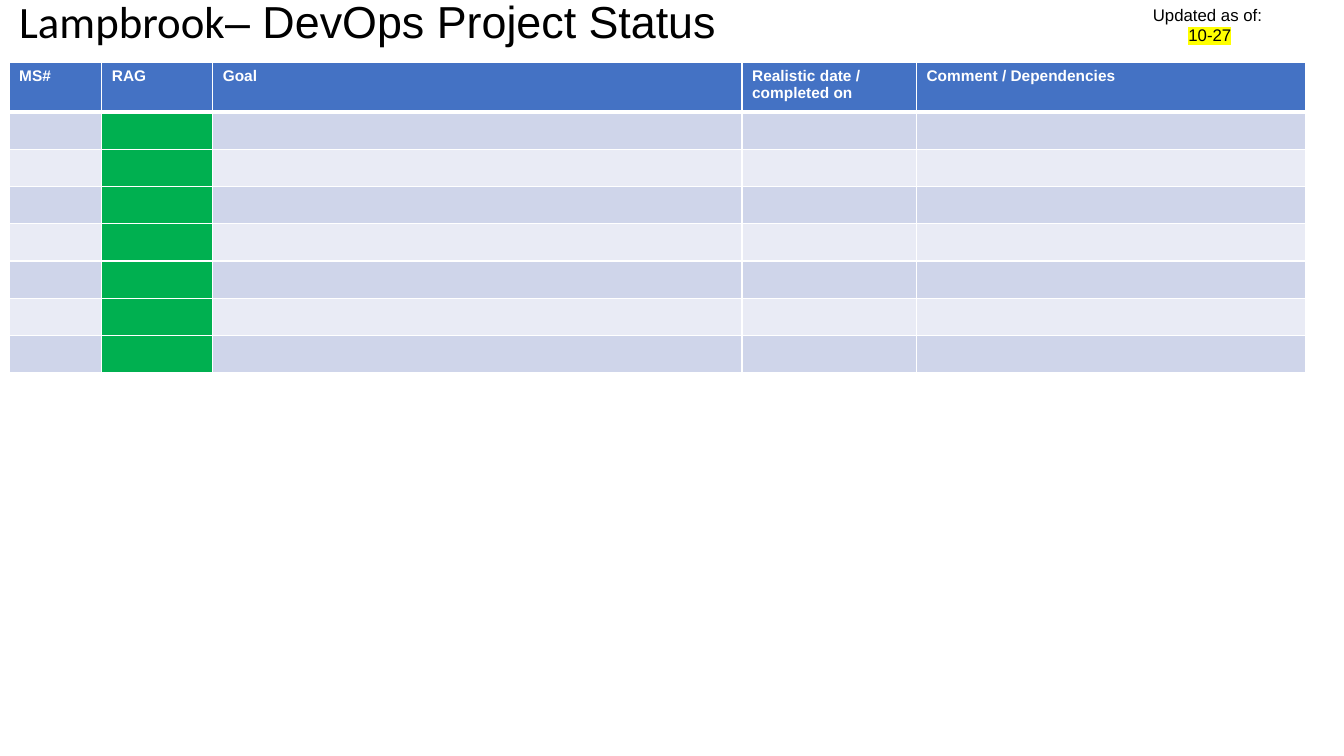
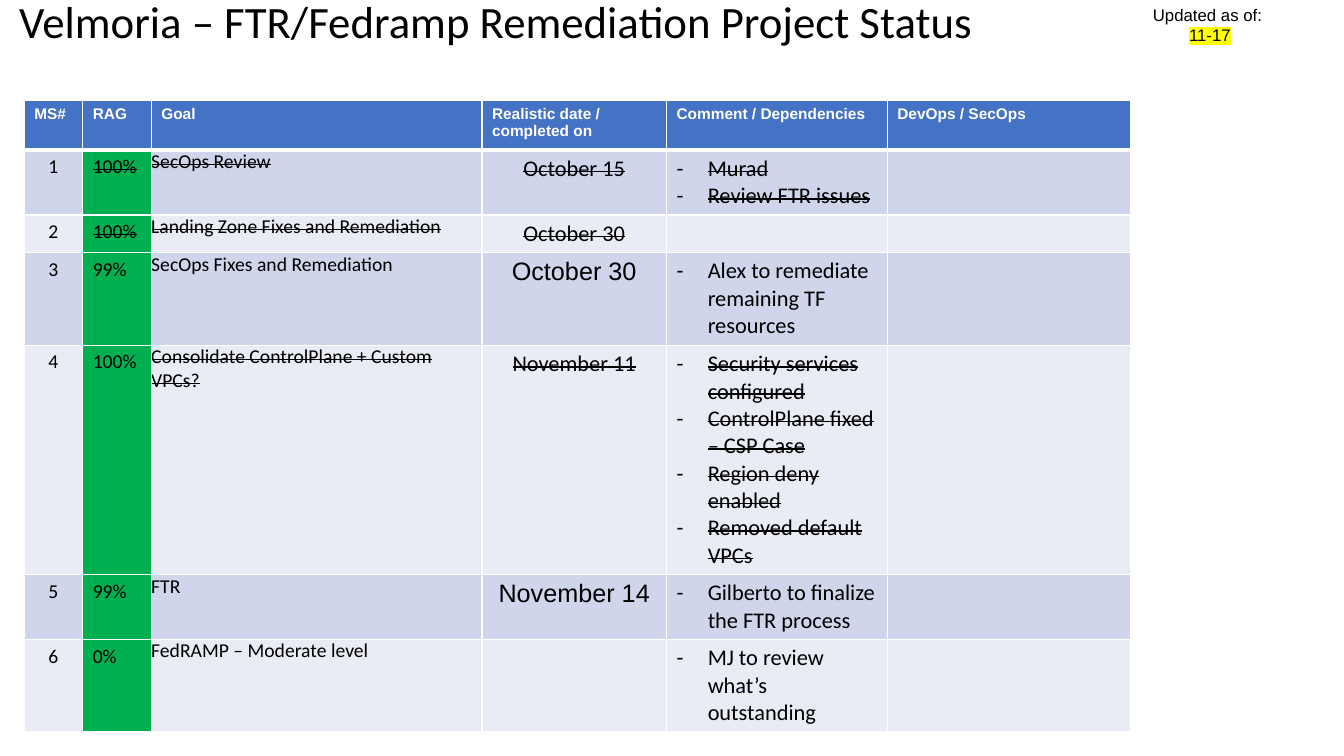
from dataclasses import dataclass, field
from typing import Any

from lxml import etree
from pptx import Presentation
from pptx.dml.color import RGBColor
from pptx.enum.text import MSO_ANCHOR, MSO_AUTO_SIZE, PP_ALIGN
from pptx.oxml.ns import qn
from pptx.util import Inches, Pt

LEFT, CENTER = PP_ALIGN.LEFT, PP_ALIGN.CENTER
BOTTOM = MSO_ANCHOR.BOTTOM
NO_FIT, GROW = MSO_AUTO_SIZE.NONE, MSO_AUTO_SIZE.SHAPE_TO_FIT_TEXT

BLACK, WHITE, YELLOW = "000000", "FFFFFF", "FFFF00"
HEADER_BLUE, GREEN = "4472C4", "00B050"
BANDS = ("CFD5EA", "E9EBF5")
CALIBRI, ARIAL = "Calibri", "Arial"
TITLE_ONLY = 5
RAG_COLUMN, GOAL_COLUMN = 1, 2
HEADER_HEIGHT, EMPTY_ROW_HEIGHT = 0.49, 0.37
BULLET_INDENT = 0.31
HEADINGS = ("MS#", "RAG", "Goal", "Realistic date / completed on", "Comment / Dependencies")


@dataclass(frozen=True)
class Milestone:
    rag: str = ""
    goal: str = ""
    date: str = ""
    comments: tuple[str, ...] = ()
    height: float = EMPTY_ROW_HEIGHT
    done: bool = False
    rag_struck: bool = False
    date_format: dict[str, Any] = field(default_factory=lambda: {"size": 16})


@dataclass(frozen=True)
class StatusSlide:
    title: tuple[tuple[str, str], ...]
    updated: str
    left: float
    top: float
    column_widths: tuple[float, ...]
    headings: tuple[str, ...]
    milestones: tuple[Milestone, ...]


OPEN_DATE = {"size": 18, "font": ARIAL, "strike": False}

STATUS_SLIDES = (
    StatusSlide(
        title=(("Lampbrook", CALIBRI), ("– DevOps Project Status", ARIAL)),
        updated="10-27",
        left=0.09,
        top=0.62,
        column_widths=(0.92, 1.1, 5.25, 1.73, 3.86),
        headings=HEADINGS,
        milestones=(Milestone(),) * 7,
    ),
    StatusSlide(
        title=(("Velmoria – FTR/Fedramp Remediation Project Status", CALIBRI),),
        updated="11-17",
        left=0.24,
        top=1,
        column_widths=(0.58, 0.68, 3.28, 1.83, 2.19, 2.41),
        headings=HEADINGS + ("DevOps / SecOps",),
        milestones=(
            Milestone("100%", "SecOps Review", "October 15", ("Murad", "Review FTR issues"),
                      0.64, done=True, rag_struck=True),
            Milestone("100%", "Landing Zone Fixes and Remediation", "October 30",
                      done=True, rag_struck=True),
            Milestone("99%", "SecOps Fixes and Remediation", "October 30",
                      ("Alex to remediate remaining TF resources",), 0.92,
                      date_format=OPEN_DATE),
            Milestone("100%", "Consolidate ControlPlane + Custom VPCs?", "November 11",
                      ("Security services configured", "ControlPlane fixed – CSP Case",
                       "Region deny enabled", "Removed default VPCs"), 2.27, done=True),
            Milestone("99%", "FTR", "November 14", ("Gilberto to finalize the FTR process",),
                      0.64, date_format=OPEN_DATE),
            Milestone("0%", "FedRAMP – Moderate level", "",
                      ("MJ to review what’s outstanding",), 0.92),
        ),
    ),
)


def color(value: str) -> RGBColor:
    return RGBColor.from_string(value)


def add_child(parent, tag: str, **attributes):
    return etree.SubElement(parent, qn(tag), attributes)


def add_solid_fill(parent, value: str) -> None:
    add_child(add_child(parent, "a:solidFill"), "a:srgbClr", val=value)


def add_text(paragraph, text: str, *, size: float = 14, font: str = CALIBRI,
             fill: str = BLACK, bold: bool = False, strike: bool = False,
             highlight: str = "", align=LEFT, bullet: str = "") -> None:
    """Append one formatted run and set the format of its paragraph."""
    paragraph.alignment = align
    if bullet:
        properties = paragraph._p.get_or_add_pPr()
        properties.set("marL", str(Inches(BULLET_INDENT)))
        properties.set("indent", str(-Inches(BULLET_INDENT)))
        add_child(add_child(properties, "a:buClr"), "a:srgbClr", val=BLACK)
        add_child(properties, "a:buFont", typeface=CALIBRI)
        add_child(properties, "a:buChar", char=bullet)
    run = paragraph.add_run()
    run.text = text
    run.font.size = Pt(size)
    run.font.bold = bold
    run.font.color.rgb = color(fill)
    run_properties = run._r.get_or_add_rPr()
    if strike:
        run_properties.set("strike", "sngStrike")
    if highlight:
        add_child(add_child(run_properties, "a:highlight"), "a:srgbClr", val=highlight)
    run.font.name = font


def add_paragraphs(text_frame, texts: tuple[str, ...], **text_format: Any) -> None:
    for index, text in enumerate(texts):
        paragraph = text_frame.add_paragraph() if index else text_frame.paragraphs[0]
        add_text(paragraph, text, **text_format)


def style_cell(cell, fill: str, bottom_width: float = 1, top_width: float = 1) -> None:
    """Give a cell white borders and a solid fill."""
    properties = cell._tc.get_or_add_tcPr()
    widths = {"a:lnL": 1, "a:lnR": 1, "a:lnT": top_width, "a:lnB": bottom_width}
    for tag, width in widths.items():
        add_solid_fill(add_child(properties, tag, w=str(Pt(width))), WHITE)
    cell.fill.solid()
    cell.fill.fore_color.rgb = color(fill)


def write_cell(cell, texts: tuple[str, ...], **text_format: Any) -> None:
    """Fill a cell with text, or keep an empty one low enough for its row."""
    if any(texts):
        add_paragraphs(cell.text_frame, texts, **text_format)
    else:
        add_child(cell.text_frame.paragraphs[0]._p, "a:endParaRPr", sz="1400")


def write_milestone(cells: list, number: int, milestone: Milestone) -> None:
    for column, cell in enumerate(cells):
        band = BANDS[(number - 1) % len(BANDS)]
        style_cell(cell, GREEN if column == RAG_COLUMN else band,
                   top_width=3 if number == 1 else 1)
    if milestone.goal:
        goal = cells[GOAL_COLUMN]
        goal.margin_left = goal.margin_right = goal.margin_top = goal.margin_bottom = 0
    done = milestone.done
    date_format = {"strike": done, "align": CENTER, **milestone.date_format}
    contents = (
        ((str(number) if milestone.goal else "",), {"align": CENTER}),
        ((milestone.rag,), {"strike": milestone.rag_struck}),
        ((milestone.goal,), {"strike": done}),
        ((milestone.date,), date_format),
        (milestone.comments, {"size": 16, "strike": done, "bullet": "-"}),
        ((), {}),
    )
    for cell, (texts, text_format) in zip(cells, contents):
        write_cell(cell, texts, **text_format)


def add_status_table(slide, status: StatusSlide) -> None:
    heights = [HEADER_HEIGHT] + [milestone.height for milestone in status.milestones]
    table = slide.shapes.add_table(
        len(heights), len(status.headings), Inches(status.left), Inches(status.top),
        Inches(sum(status.column_widths)), Inches(sum(heights))).table
    for column, width in zip(table.columns, status.column_widths):
        column.width = Inches(width)
    for row, height in zip(table.rows, heights):
        row.height = Inches(height)
    header, *body = table.rows
    for cell, heading in zip(header.cells, status.headings):
        style_cell(cell, HEADER_BLUE, bottom_width=3)
        write_cell(cell, (heading,), size=11, font=ARIAL, fill=WHITE, bold=True)
    for number, (row, milestone) in enumerate(zip(body, status.milestones), start=1):
        write_milestone(list(row.cells), number, milestone)


def format_title(title, parts: tuple[tuple[str, str], ...]) -> None:
    title.left, title.top = Inches(0.09), Inches(-0.21)
    title.width, title.height = Inches(12.41), Inches(0.74)
    frame = title.text_frame
    frame.word_wrap = True
    frame.auto_size = NO_FIT
    frame.vertical_anchor = BOTTOM
    paragraph = frame.paragraphs[0]
    paragraph.line_spacing = 0.9
    for text, font in parts:
        add_text(paragraph, text, size=32, font=font)


def add_update_note(slide, updated: str) -> None:
    note = slide.shapes.add_textbox(Inches(10.67), 0, Inches(2.66), Inches(0.5))
    frame = note.text_frame
    frame.word_wrap = True
    frame.auto_size = GROW
    note_format = {"size": 12, "font": ARIAL, "align": CENTER}
    add_text(frame.paragraphs[0], "Updated as of: ", **note_format)
    add_text(frame.add_paragraph(), updated, highlight=YELLOW, **note_format)


def main() -> None:
    presentation = Presentation()
    presentation.slide_width, presentation.slide_height = Inches(13.33), Inches(7.5)
    for status in STATUS_SLIDES:
        slide = presentation.slides.add_slide(presentation.slide_layouts[TITLE_ONLY])
        format_title(slide.shapes.title, status.title)
        add_status_table(slide, status)
        add_update_note(slide, status.updated)
    presentation.save("out.pptx")


if __name__ == "__main__":
    main()
